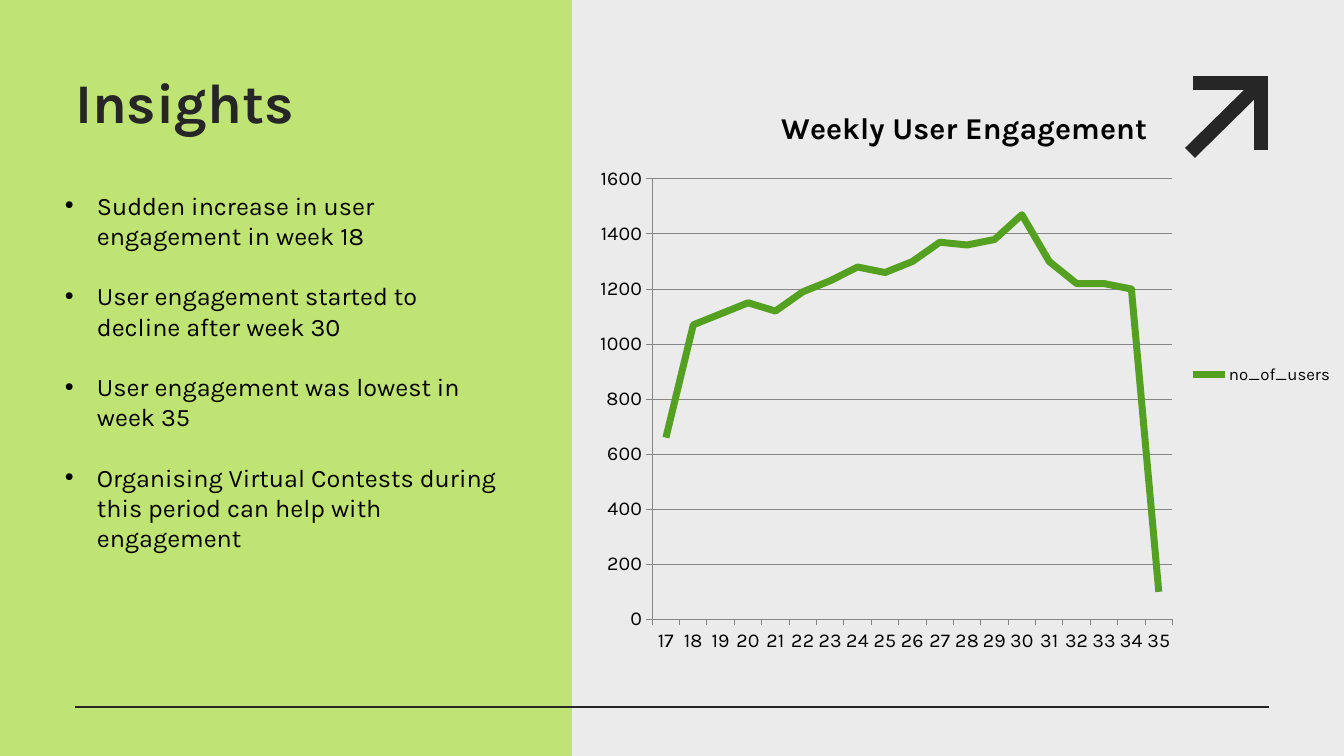
import dataclasses

import lxml.etree
import pptx
import pptx.chart.data
import pptx.dml.color
import pptx.enum.chart
import pptx.enum.shapes
import pptx.enum.text
import pptx.oxml.ns
import pptx.util

EMU_PER_PX = 914400 / 100.8
FONT = "Karla"
DARK, BLACK, GRID = "262626", "000000", "868686"
PANEL, BACKGROUND, GREEN = "C0E474", "EBEBEB", "54A021"

INSIGHTS = [
    "Sudden increase in user engagement in week 18",
    "User engagement started to decline after week 30",
    "User engagement was lowest in week 35",
    "Organising Virtual Contests during this period can help with engagement",
]
FIRST_WEEK = 17
USERS = [660, 1070, 1110, 1150, 1120, 1190, 1230, 1280, 1260, 1300,
         1370, 1360, 1380, 1470, 1300, 1220, 1220, 1200, 100]


@dataclasses.dataclass
class Stroke:
    x1: int
    y1: int
    x2: int
    y2: int
    points: float
    cap: str = "flat"


STROKES = [
    # Corner arrow
    Stroke(1200, 83, 1260, 83, 10, "sq"),
    Stroke(1261, 83, 1261, 143, 10, "sq"),
    Stroke(1195, 148, 1254, 90, 10, "sq"),
    # Footer rule
    Stroke(75, 707, 1269, 707, 1.5),
]


def px(length: int) -> int:
    return round(length * EMU_PER_PX)


def colour(code: str) -> pptx.dml.color.RGBColor:
    return pptx.dml.color.RGBColor.from_string(code)


def style_font(font, size: float, code: str, bold: bool = False) -> None:
    font.name = FONT
    font.size = pptx.util.Pt(size)
    font.bold = bold
    font.color.rgb = colour(code)


def child(parent, tag: str, **attributes: str):
    return lxml.etree.SubElement(parent, pptx.oxml.ns.qn(tag), attributes)


def draw_stroke(page, stroke: Stroke) -> None:
    line = page.shapes.add_connector(
        pptx.enum.shapes.MSO_CONNECTOR.STRAIGHT,
        px(stroke.x1), px(stroke.y1), px(stroke.x2), px(stroke.y2))
    line.line.color.rgb = colour(DARK)
    line.line.width = pptx.util.Pt(stroke.points)
    properties = line.element.spPr
    properties.find(pptx.oxml.ns.qn("a:ln")).set("cap", stroke.cap)
    child(properties, "a:effectLst")


def draw_panel(page) -> None:
    panel = page.shapes.add_shape(
        pptx.enum.shapes.MSO_SHAPE.RECTANGLE, 0, 0, px(572), px(756))
    panel.shadow.inherit = False
    panel.fill.solid()
    panel.fill.fore_color.rgb = colour(PANEL)
    panel.line.fill.background()


def place_title(page) -> None:
    title = page.shapes.title
    title.left, title.top, title.width, title.height = map(px, (75, 72, 417, 504))
    frame = title.text_frame
    frame.text = "Insights"
    frame.margin_left = frame.margin_top = frame.margin_right = frame.margin_bottom = 0
    frame.vertical_anchor = pptx.enum.text.MSO_ANCHOR.TOP
    para = frame.paragraphs[0]
    para.alignment = pptx.enum.text.PP_ALIGN.LEFT
    para.line_spacing = pptx.util.Pt(45)
    style_font(para.runs[0].font, 40, DARK, bold=True)
    # Bring the title in front of the panel
    title.element.getparent().append(title.element)


def draw_chart(page) -> None:
    data = pptx.chart.data.CategoryChartData()
    data.categories = [str(FIRST_WEEK + week) for week in range(len(USERS))]
    data.add_series("no_of_users", USERS)
    chart = page.shapes.add_chart(
        pptx.enum.chart.XL_CHART_TYPE.LINE,
        px(585), px(85), px(759), px(579), data).chart
    style_font(chart.font, 18, BLACK)

    chart.has_title = True
    heading = chart.chart_title.text_frame
    heading.text = "Weekly User Engagement"
    style_font(heading.paragraphs[0].runs[0].font, 21.6, BLACK, bold=True)

    chart.has_legend = True
    chart.legend.position = pptx.enum.chart.XL_LEGEND_POSITION.RIGHT
    chart.legend.include_in_layout = False
    style_font(chart.legend.font, 12, BLACK)

    for axis in (chart.category_axis, chart.value_axis):
        style_font(axis.tick_labels.font, 14, BLACK)
        axis.major_tick_mark = pptx.enum.chart.XL_TICK_MARK.OUTSIDE
        axis.format.line.color.rgb = colour(GRID)
    chart.value_axis.maximum_scale = 1600
    chart.value_axis.minimum_scale = 0
    chart.value_axis.major_unit = 200
    chart.value_axis.major_gridlines.format.line.color.rgb = colour(GRID)

    plot = chart.plots[0]
    plot.vary_by_categories = False
    users = plot.series[0]
    users.smooth = False
    users.marker.style = pptx.enum.chart.XL_MARKER_STYLE.NONE
    users.format.line.color.rgb = colour(GREEN)
    users.format.line.width = pptx.util.Pt(5)


def draw_insights(page) -> None:
    box = page.shapes.add_textbox(px(55), px(185), px(461), px(377))
    frame = box.text_frame
    frame.word_wrap = True
    frame.text = "\n".join(INSIGHTS)
    for index, para in enumerate(frame.paragraphs):
        para.space_before = pptx.util.Pt(21.6 if index else 0)
        style_font(para.runs[0].font, 18, BLACK)
        properties = para._p.get_or_add_pPr()
        properties.set("marL", str(px(32)))
        properties.set("indent", str(-px(32)))
        child(properties, "a:buFont", typeface="Arial")
        child(properties, "a:buChar", char="•")


def main() -> None:
    deck = pptx.Presentation()
    deck.slide_width, deck.slide_height = px(1344), px(756)
    page = deck.slides.add_slide(deck.slide_layouts.get_by_name("Title Only"))
    page.background.fill.solid()
    page.background.fill.fore_color.rgb = colour(BACKGROUND)

    draw_panel(page)
    for stroke in STROKES:
        draw_stroke(page, stroke)
    place_title(page)
    draw_chart(page)
    draw_insights(page)
    deck.save("out.pptx")


if __name__ == "__main__":
    main()
